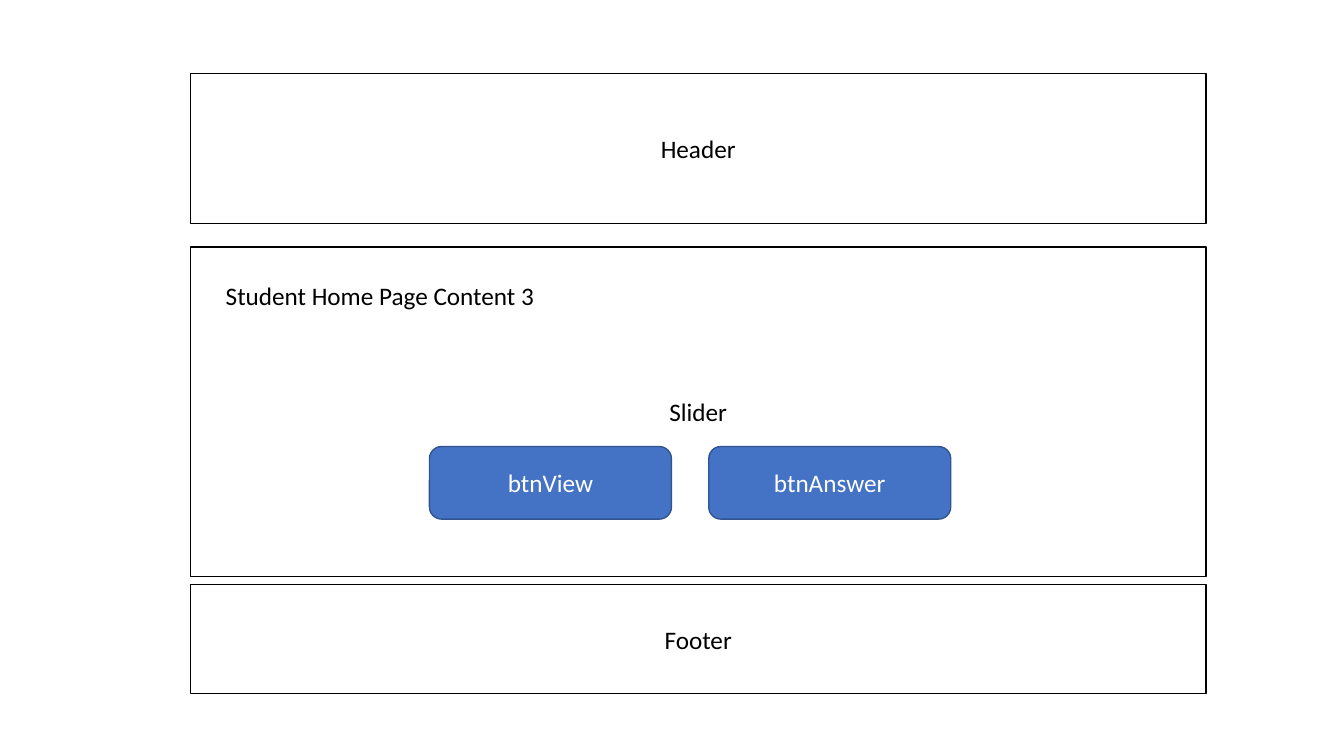
from dataclasses import dataclass

import pptx
import pptx.dml.color
import pptx.enum.shapes
import pptx.enum.text
import pptx.shapes.base
import pptx.slide
import pptx.text.text
import pptx.util

Inches = pptx.util.Inches
Color = pptx.dml.color.RGBColor
Kind = pptx.enum.shapes.MSO_SHAPE
Align = pptx.enum.text.PP_ALIGN
Anchor = pptx.enum.text.MSO_ANCHOR


@dataclass(frozen=True)
class Theme:
    ink: Color = Color(0x00, 0x00, 0x00)
    paper: Color = Color(0xFF, 0xFF, 0xFF)
    blue: Color = Color(0x44, 0x72, 0xC4)
    edge: Color = Color(0x32, 0x54, 0x91)
    font: str = "Calibri"
    size: float = 18
    line: float = 1


@dataclass(frozen=True)
class Style:
    kind: Kind
    fill: Color
    edge: Color
    text: Color


@dataclass(frozen=True)
class Box:
    label: str
    left: float
    top: float
    width: float
    height: float
    style: Style


THEME = Theme()
PANEL = Style(Kind.RECTANGLE, THEME.paper, THEME.ink, THEME.ink)
BUTTON = Style(Kind.ROUNDED_RECTANGLE, THEME.blue, THEME.edge, THEME.paper)

# Page panels share one column: label, top, height
PANELS = [
    Box(label, 1.89, top, 10.07, height, PANEL)
    for label, top, height in [
        ("Header", 0.73, 1.49),
        ("Slider", 2.45, 3.27),
        ("Footer", 5.8, 1.08),
    ]
]

# Buttons sit in a row at an equal step
BUTTONS = [
    Box(label, 4.26 + 2.77 * index, 4.43, 2.4, 0.72, BUTTON)
    for index, label in enumerate(["btnView", "btnAnswer"])
]


def write(frame: pptx.text.text.TextFrame, label: str, color: Color, align: Align) -> None:
    """Put one styled line of text in a frame."""
    frame.word_wrap = True
    line = frame.paragraphs[0]
    line.alignment = align
    run = line.add_run()
    run.text = label
    look = {"name": THEME.font, "size": pptx.util.Pt(THEME.size)}
    for key, value in look.items():
        setattr(run.font, key, value)
    run.font.color.rgb = color


def draw(slide: pptx.slide.Slide, box: Box) -> pptx.shapes.base.BaseShape:
    """Draw a box with its label in the middle."""
    place = map(Inches, (box.left, box.top, box.width, box.height))
    shape = slide.shapes.add_shape(box.style.kind, *place)
    shape.shadow.inherit = False
    shape.fill.solid()
    shape.fill.fore_color.rgb = box.style.fill
    shape.line.color.rgb = box.style.edge
    shape.line.width = pptx.util.Pt(THEME.line)
    shape.text_frame.vertical_anchor = Anchor.MIDDLE
    write(shape.text_frame, box.label, box.style.text, Align.CENTER)
    return shape


def main() -> None:
    deck = pptx.Presentation()
    deck.slide_width = Inches(13.33)
    deck.slide_height = Inches(7.5)
    slide = deck.slides.add_slide(deck.slide_layouts[6])

    # Panels and buttons
    for box in PANELS + BUTTONS:
        draw(slide, box)

    # Title of the content panel
    title = slide.shapes.add_textbox(*map(Inches, (2.14, 2.73, 3.39, 0.4)))
    write(title.text_frame, "Student Home Page Content 3", THEME.ink, Align.LEFT)
    title.text_frame.auto_size = pptx.enum.text.MSO_AUTO_SIZE.SHAPE_TO_FIT_TEXT

    deck.save("out.pptx")


if __name__ == "__main__":
    main()
